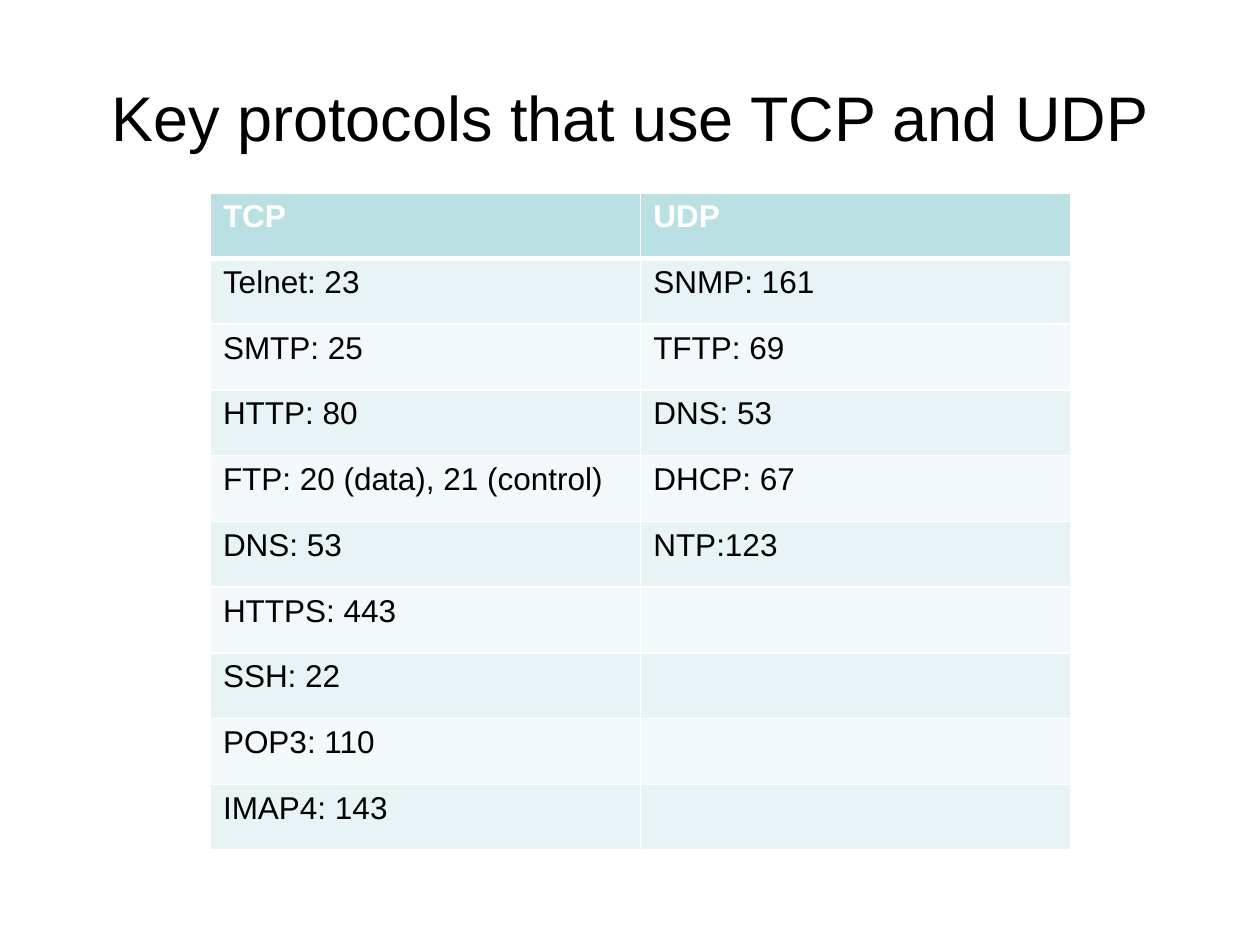
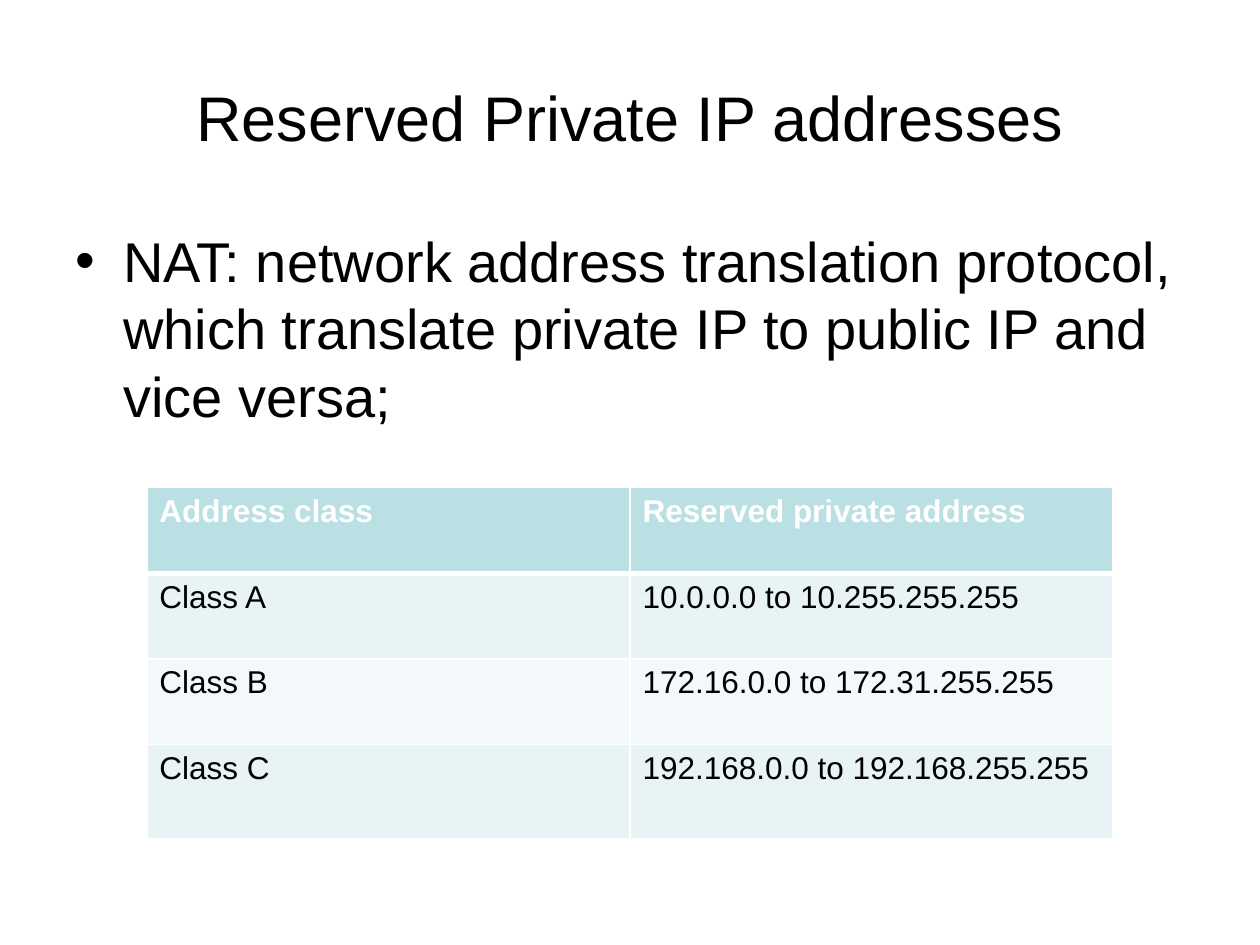
from itertools import zip_longest

from lxml.etree import SubElement
from pptx import Presentation
from pptx.dml.color import RGBColor
from pptx.enum.text import MSO_ANCHOR as Anchor, PP_ALIGN as Align
from pptx.oxml import parse_xml
from pptx.oxml.ns import nsdecls, qn
from pptx.util import Inches, Pt

# Content
PROTOCOLS_TITLE = "Key protocols that use TCP and UDP"
TCP = ["Telnet: 23", "SMTP: 25", "HTTP: 80", "FTP: 20 (data), 21 (control)",
       "DNS: 53", "HTTPS: 443", "SSH: 22", "POP3: 110", "IMAP4: 143"]
UDP = ["SNMP: 161", "TFTP: 69", "DNS: 53", "DHCP: 67", "NTP:123"]

ADDRESSES_TITLE = "Reserved Private IP addresses"
NAT_NOTE = ("NAT: network address translation protocol, "
            "which translate private IP to public IP and vice versa;")
ADDRESSES = [
    ("Address class", "Reserved private address"),
    ("Class A", "10.0.0.0 to 10.255.255.255"),
    ("Class B", "172.16.0.0 to 172.31.255.255"),
    ("Class C", "192.168.0.0 to 192.168.255.255"),
]

# Shared look
WIDTH, HEIGHT = 10, 7.5
MARGIN = WIDTH * 0.05
FONT, TITLE_SIZE, BODY_SIZE, CELL_SIZE = "Arial", 36, 32, 18
BLACK, WHITE = "000000", "FFFFFF"
HEADER_FILL, BAND_FILLS = "BBE0E3", ("F3F9FA", "E7F3F4")
THIN, THICK = 1, 3
INDENT = 0.38


def color(value):
    return RGBColor.from_string(value)


def add_span(para, text, size, ink=BLACK, bold=False):
    span = para.add_run()
    span.text = text
    span.font.name, span.font.size, span.font.bold = FONT, Pt(size), bold
    span.font.color.rgb = color(ink)


def add_box(page, top, height):
    """Add a text box between the side margins and return its frame."""
    box = page.shapes.add_textbox(Inches(MARGIN), Inches(top),
                                  Inches(WIDTH - 2 * MARGIN), Inches(height))
    box.text_frame.word_wrap = True
    return box.text_frame


def add_page(deck, title):
    page = deck.slides.add_slide(deck.slide_layouts[6])
    page.background.fill.solid()
    page.background.fill.fore_color.rgb = color(WHITE)
    frame = add_box(page, HEIGHT * 0.04, 1.25)
    frame.vertical_anchor = Anchor.MIDDLE
    para = frame.paragraphs[0]
    para.alignment = Align.CENTER
    add_span(para, title, TITLE_SIZE)
    return page


def add_bullet(page, text, top, height):
    para = add_box(page, top, height).paragraphs[0]
    para.space_before = Pt(BODY_SIZE * 0.2)
    props = para._p.get_or_add_pPr()
    props.set("marL", str(Inches(INDENT)))
    props.set("indent", str(-Inches(INDENT)))
    SubElement(props, qn("a:buFont")).set("typeface", FONT)
    SubElement(props, qn("a:buChar")).set("char", "•")
    add_span(para, text, BODY_SIZE)


def set_borders(cell, top, bottom):
    """Draw white borders, with the given widths above and below."""
    props = cell._tc.get_or_add_tcPr()
    sides = {"lnL": THIN, "lnR": THIN, "lnT": top, "lnB": bottom}
    for place, (side, width) in enumerate(sides.items()):
        props.insert(place, parse_xml(
            f'<a:{side} {nsdecls("a")} w="{Pt(width)}"><a:solidFill>'
            f'<a:srgbClr val="{WHITE}"/></a:solidFill></a:{side}>'))


def add_grid(page, rows, left, top, width, heights):
    grid = page.shapes.add_table(
        len(rows), len(rows[0]), Inches(left), Inches(top),
        Inches(width), Inches(sum(heights))).table
    grid.horz_banding = False
    for index, (texts, height) in enumerate(zip(rows, heights)):
        grid.rows[index].height = Inches(height)
        header = index == 0
        for column, text in enumerate(texts):
            cell = grid.cell(index, column)
            cell.fill.solid()
            cell.fill.fore_color.rgb = color(
                HEADER_FILL if header else BAND_FILLS[index % 2])
            set_borders(cell, THICK if index == 1 else THIN,
                        THICK if header else THIN)
            if text:
                add_span(cell.text_frame.paragraphs[0], text, CELL_SIZE,
                         WHITE if header else BLACK, header)


def main():
    deck = Presentation()
    deck.slide_width, deck.slide_height = Inches(WIDTH), Inches(HEIGHT)

    # Protocols by transport
    page = add_page(deck, PROTOCOLS_TITLE)
    rows = [("TCP", "UDP"), *zip_longest(TCP, UDP, fillvalue="")]
    add_grid(page, rows, 1.67, 1.53, 6.83, [5.22 / len(rows)] * len(rows))

    # Private address ranges, centred under the note
    page = add_page(deck, ADDRESSES_TITLE)
    add_bullet(page, NAT_NOTE, 1.75, 1.92)
    width = 7.67
    add_grid(page, ADDRESSES, (WIDTH - width) / 2, 3.87, width,
             [0.68] * 3 + [0.75])

    deck.save("out.pptx")


if __name__ == "__main__":
    main()
